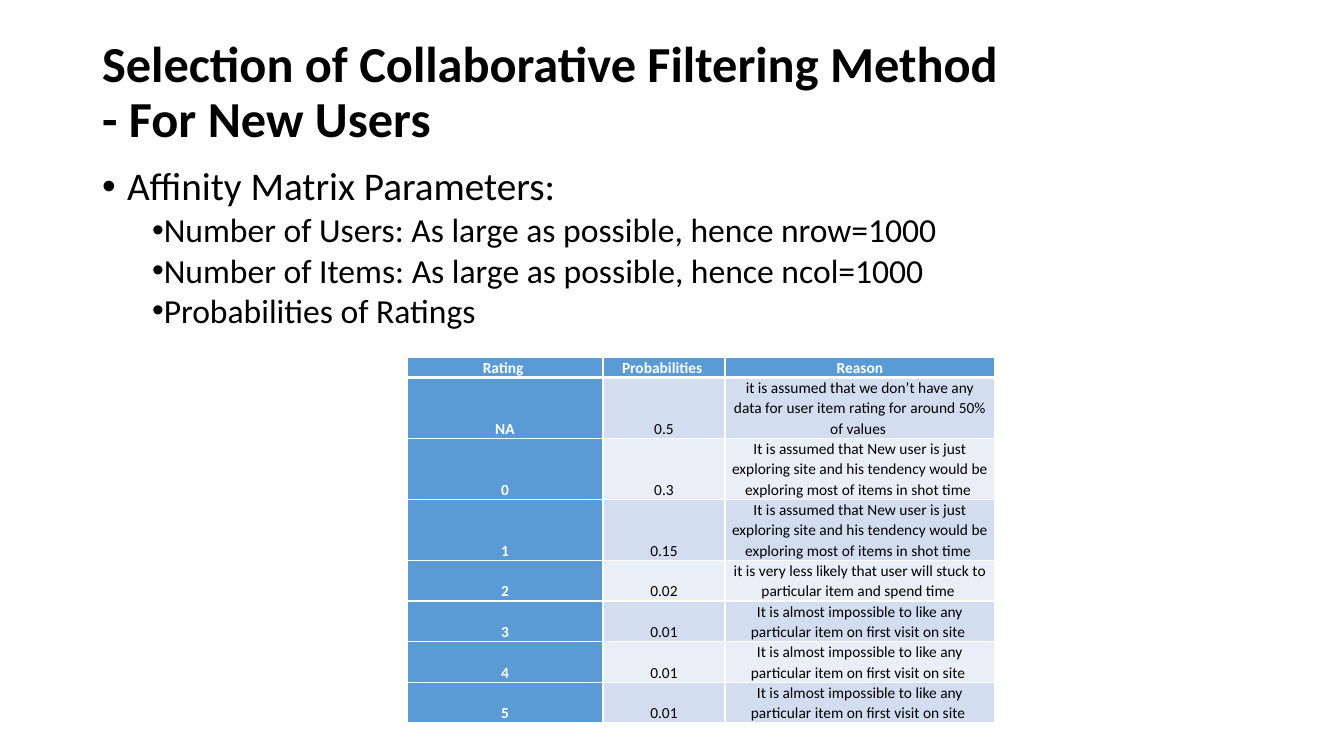
import pptx
import pptx.dml.color
import pptx.enum.text
import pptx.oxml
import pptx.oxml.ns
import pptx.util

FONT = "Calibri"
BLACK, WHITE, BLUE = "000000", "FFFFFF", "5B9BD5"
BANDS = ["D2DEEF", "EAEFF7"]


def px(n):
    return pptx.util.Emu(round(n * 914400 / 100.8))


def add_run(p, text, size, color, bold=False):
    r = p.add_run()
    r.text = text
    r.font.name = FONT
    r.font.size = pptx.util.Pt(size)
    r.font.bold = bold
    r.font.color.rgb = pptx.dml.color.RGBColor.from_string(color)


prs = pptx.Presentation()
prs.slide_width, prs.slide_height = px(1344), px(756)
s = prs.slides.add_slide(prs.slide_layouts[1])

# Title, raised by a deep bottom inset
title = s.shapes.title
title.left, title.top, title.width, title.height = px(92), px(48), px(1159), px(146)
tf = title.text_frame
tf.auto_size = pptx.enum.text.MSO_AUTO_SIZE.NONE
tf.vertical_anchor = pptx.enum.text.MSO_ANCHOR.MIDDLE
tf.margin_bottom = px(60)
p = tf.paragraphs[0]
p.alignment = pptx.enum.text.PP_ALIGN.LEFT
p.line_spacing = 0.9
add_run(p, "Selection of Collaborative Filtering Method", 36, BLACK, True)
p.add_line_break()
add_run(p, "- For New Users", 36, BLACK, True)

# Bulleted list: text, level, size, line spacing, left margin, indent
items = [
    ("Affinity Matrix Parameters:", 0, 28, 0.9, 25, -25),
    ("Number of Users: As large as possible, hence nrow=1000", 1, 24, 1.0, 50, 0),
    ("Number of Items: As large as possible, hence ncol=1000", 1, 24, 1.0, 50, 0),
    ("Probabilities of Ratings", 1, 24, 1.0, 50, 0),
]
body = s.placeholders[1]
body.left, body.top, body.width, body.height = px(92), px(162), px(1159), px(480)
tf = body.text_frame
tf.auto_size = pptx.enum.text.MSO_AUTO_SIZE.NONE
for i, (text, level, size, spacing, margin, indent) in enumerate(items):
    p = tf.add_paragraph() if i else tf.paragraphs[0]
    p.level = level
    p.line_spacing = spacing
    p.space_before = pptx.util.Pt(0)
    pPr = p._p.get_or_add_pPr()
    pPr.set("marL", str(px(margin)))
    pPr.set("indent", str(px(indent)))
    for tag, key, value in [("a:buFont", "typeface", "Arial"), ("a:buChar", "char", "•")]:
        bullet = pptx.oxml.parse_xml(f'<{tag} {pptx.oxml.ns.nsdecls("a")} {key}="{value}"/>')
        pPr.append(bullet)
    add_run(p, text, size, BLACK)

# Ratings table
exploring = ("It is assumed that New user is just exploring site and his tendency "
             "would be exploring most of items in shot time ")
unlikely = "It is almost impossible to like any particular item on first visit on site "
rows = [
    ("Rating ", "Probabilities ", "Reason"),
    ("NA", "0.5", "it is assumed that we don’t have any data for user item rating "
                  "for around 50% of values "),
    ("0", "0.3", exploring),
    ("1", "0.15", exploring),
    ("2", "0.02", "it is very less likely that user will stuck to particular item "
                  "and spend time "),
    ("3", "0.01", unlikely),
    ("4", "0.01", unlikely),
    ("5", "0.01", unlikely),
]
widths = [196, 122, 270]
heights = [20] + [61] * 3 + [40] * 4
table = s.shapes.add_table(len(rows), len(widths), px(407), px(357),
                           px(sum(widths)), px(sum(heights))).table
table.first_col = True
for column, width in zip(table.columns, widths):
    column.width = px(width)
for i, (row, height) in enumerate(zip(rows, heights)):
    table.rows[i].height = px(height)
    for j, text in enumerate(row):
        cell = table.cell(i, j)
        head = i == 0 or j == 0
        cell.vertical_anchor = pptx.enum.text.MSO_ANCHOR.BOTTOM
        cell.margin_left = cell.margin_right = px(7)
        cell.margin_top = cell.margin_bottom = 0

        # White borders, thicker under the header row
        for side in "LRTB":
            thick = (i == 0 and side == "B") or (i == 1 and side == "T")
            line = pptx.oxml.parse_xml(
                f'<a:ln{side} {pptx.oxml.ns.nsdecls("a")} w="{pptx.util.Pt(3 if thick else 1)}">'
                f'<a:solidFill><a:srgbClr val="{WHITE}"/></a:solidFill></a:ln{side}>')
            cell._tc.get_or_add_tcPr().append(line)
        cell.fill.solid()
        fill = BLUE if head else BANDS[(i - 1) % 2]
        cell.fill.fore_color.rgb = pptx.dml.color.RGBColor.from_string(fill)

        p = cell.text_frame.paragraphs[0]
        p.alignment = pptx.enum.text.PP_ALIGN.CENTER
        p.line_spacing = 1.07
        add_run(p, text, 11, WHITE if head else BLACK, head)

prs.save("out.pptx")
